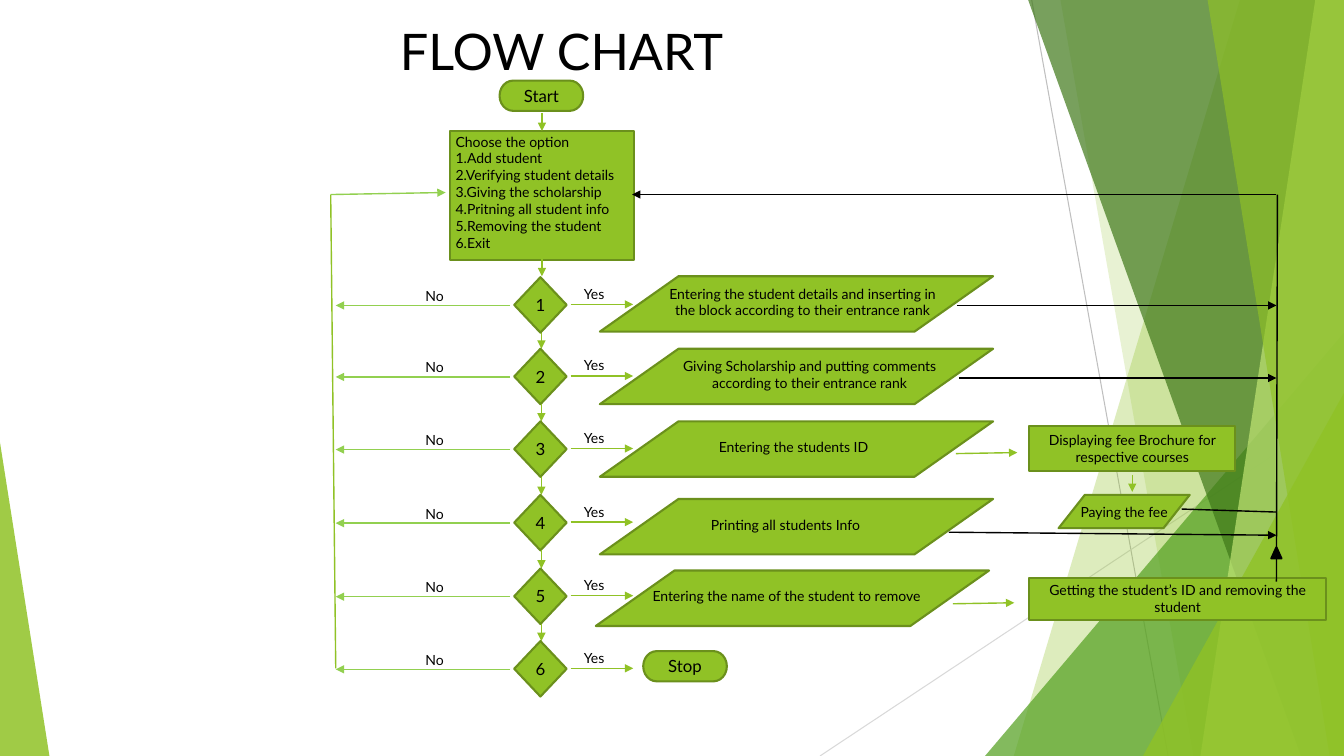
from lxml import etree
from pptx import Presentation
from pptx.dml.color import RGBColor
from pptx.enum.shapes import MSO_CONNECTOR, MSO_SHAPE
from pptx.enum.text import MSO_ANCHOR, PP_ALIGN
from pptx.oxml.ns import qn
from pptx.util import Inches, Pt

LEFT, CENTER = PP_ALIGN.LEFT, PP_ALIGN.CENTER
TOP, MIDDLE = MSO_ANCHOR.TOP, MSO_ANCHOR.MIDDLE
STRAIGHT = MSO_CONNECTOR.STRAIGHT
TRIANGLE = MSO_SHAPE.ISOSCELES_TRIANGLE
TERMINATOR = MSO_SHAPE.FLOWCHART_TERMINATOR
PROCESS = MSO_SHAPE.FLOWCHART_PROCESS
DECISION = MSO_SHAPE.FLOWCHART_DECISION
DATA = MSO_SHAPE.FLOWCHART_DATA

W, H = 13.33, 7.5
GREEN, EDGE, LIME, BLACK = "90C226", "6B901C", "92D050", "000000"

prs = Presentation()
prs.slide_width, prs.slide_height = Inches(W), Inches(H)
slide = prs.slides.add_slide(prs.slide_layouts[6])
shapes = slide.shapes


def rgb(value):
    return RGBColor.from_string(value)


def paint(sp, fill, alpha=100, line=None):
    sp.shadow.inherit = False
    sp.fill.solid()
    sp.fill.fore_color.rgb = rgb(fill)
    if alpha < 100:
        color = sp.fill._xPr.find(qn("a:solidFill"))[0]
        etree.SubElement(color, qn("a:alpha"), val=str(alpha * 1000))
    if line:
        sp.line.color.rgb = rgb(line)
        sp.line.width = Pt(1.5)
    else:
        sp.line.fill.background()


def write(sp, text, size=10, align=CENTER, anchor=MIDDLE, inset=(0, 0), wrap=False):
    tf = sp.text_frame
    tf.word_wrap = wrap
    tf.vertical_anchor = anchor
    tf.margin_left = tf.margin_right = Inches(inset[0])
    tf.margin_top = tf.margin_bottom = Inches(inset[1])
    for i, row in enumerate(text.split("\n")):
        p = tf.add_paragraph() if i else tf.paragraphs[0]
        p.alignment = align
        r = p.add_run()
        r.text = row
        r.font.size = Pt(size)
        r.font.name = "Lato"
        r.font.color.rgb = rgb(BLACK)


def node(kind, x, y, w, h, text="", **fmt):
    sp = shapes.add_shape(kind, Inches(x), Inches(y), Inches(w), Inches(h))
    paint(sp, GREEN, line=EDGE)
    if text:
        write(sp, text, **fmt)


def label(text, x, y, w, h, **fmt):
    sp = shapes.add_textbox(Inches(x), Inches(y), Inches(w), Inches(h))
    write(sp, text, wrap=True, **fmt)


def line(x1, y1, x2, y2, color=GREEN, width=1, head=True):
    c = shapes.add_connector(STRAIGHT, Inches(x1), Inches(y1), Inches(x2), Inches(y2))
    c.line.color.rgb = rgb(color)
    c.line.width = Pt(width)
    if head:
        etree.SubElement(c.line._get_or_add_ln(), qn("a:tailEnd"), type="triangle")
    etree.SubElement(c._element.spPr, qn("a:effectLst"))


def triangle(x, y, w, h, apex, fill, **look):
    sp = shapes.add_shape(TRIANGLE, Inches(x), Inches(y), Inches(w), Inches(h))
    sp.adjustments[0] = apex
    paint(sp, fill, **look)


def facets(x, y, w, h):
    """Translucent panels; positions are shares of the box."""
    for x1, y1, x2, y2, color in ((.13, 0, .51, 1, "BFBFBF"), (1, .54, -.46, 1, "D9D9D9")):
        line(x + x1 * w, y + y1 * h, x + x2 * w, y + y2 * h, color, .75, head=False)

    def panel(top, bottom, fill, alpha):
        corners = [(x + fx * w, y + fy * h) for fx, fy in ((top, 0), (1, 0), (1, 1), (bottom, 1))]
        points = [(Inches(px), Inches(py)) for px, py in corners]
        fb = shapes.build_freeform(*points[0])
        fb.add_line_segments(points[1:], close=True)
        paint(fb.convert_to_shape(), fill, alpha)

    def wedge(left, top, fill, alpha):
        triangle(x + left * w, y + top * h, (1 - left) * w, (1 - top) * h, 1, fill, alpha=alpha)

    panel(.71, .08, GREEN, 30)
    panel(.21, .58, GREEN, 20)
    wedge(0, .44, "54A021", 72)
    panel(.12, .88, "3F7819", 70)
    panel(.92, .6, "C0E474", 70)
    panel(.62, .96, GREEN, 65)
    wedge(.44, .52, GREEN, 80)


def entry(x, y, w):
    """Start and the option menu, centred in width w."""
    mid = x + w / 2
    node(TERMINATOR, mid - .42, y, .83, .3, "Start", size=12)
    node(PROCESS, x, y + .5, w, 1.28,
         "Choose the option\n1.Add student\n2.Verifying student details\n"
         "3.Giving the scholarship\n4.Pritning all student info\n"
         "5.Removing the student\n6.Exit", align=LEFT, anchor=TOP, inset=(.06, .02))
    line(mid, y + .32, mid, y + .5)
    line(mid, y + 1.77, mid, y + 1.94)


def decision(x, y, number, next_y):
    """Diamond with its No branch to the left and Yes branch to the right."""
    mid, yes_y = y + .28, y + .27
    node(DECISION, x, y, .52, .55, number, size=12)
    line(x - .04, mid, x - 1.77, mid, LIME)
    label("No", x - .88, mid - .23, .6, .27, align=LEFT, inset=(0, .05))
    line(x + .56, yes_y, x + 1.18, yes_y)
    label("Yes", x + .69, yes_y - .24, .45, .27, align=LEFT, inset=(0, .05))
    if next_y:
        line(x + .27, y + .55, x + .27, next_y)


def fee_branch(x, y):
    node(PROCESS, x, y, 2.04, .44, "Displaying fee Brochure for respective courses",
         wrap=True, inset=(.1, 0))
    line(x - .73, y + .27, x - .12, y + .26)
    node(DATA, x + .29, y + .68, 1.3, .33, "Paying the fee")
    line(x + 1.02, y + .48, x + 1.02, y + .65)


def remove_branch(x, y):
    node(PROCESS, x, y, 2.94, .42, "Getting the student’s ID and removing the student",
         wrap=True, inset=(.1, 0))
    line(x - .76, y + .26, x - .15, y + .25)


def return_paths(left, right, top):
    """Lines that lead back to the menu on both sides."""
    line(left, top, left + .05, 6.63, head=False)
    line(left, top, left + 1.14, top - .02, LIME)
    line(right + .01, top, right, 5.77, BLACK, head=False)
    line(right, top, 6.27, top, BLACK)
    line(11.72, 5.05, right, 5.08, BLACK, head=False)
    for x, y, end_y in ((9.49, 3.03, 3.03), (9.51, 3.75, 3.75), (9.41, 5.28, 5.31)):
        line(x, y, right, end_y, BLACK)
    triangle(right - .05, 5.43, .1, .11, .5, BLACK, line=BLACK)


# Background
facets(9.77, 0, 3.56, H)
triangle(0, 4.39, .49, 3.11, 0, GREEN, alpha=85)

# Title and entry
label("FLOW CHART", .87, .14, 9.4, .72, size=36)
entry(4.46, .8, 1.83)

# Actions: left, top, text centre, text
actions = [
    (5.95, 2.74, 7.96, "Entering the student details and inserting in the block "
                       "according to their entrance rank"),
    (5.95, 3.46, 8.03, "Giving Scholarship and putting comments according to their entrance rank"),
    (5.95, 4.18, 7.87, "Entering the students ID"),
    (5.95, 4.95, 7.79, "Printing all students Info"),
    (5.91, 5.66, 7.8, "Entering the name of the student to remove"),
]
for x, y, mid, text in actions:
    node(DATA, x, y, 3.9, .55)
    label(text, mid - 1.43, y - .02, 2.86, .55)

# Decisions
tops = [2.75, 3.46, 4.18, 4.91, 5.64, 6.36]
for i, (y, next_y) in enumerate(zip(tops, tops[1:] + [None]), 1):
    decision(5.1, y, str(i), next_y)
node(TERMINATOR, 6.38, 6.46, .83, .3, "Stop", size=12)

# Side branches and return paths
fee_branch(10.21, 4.23)
remove_branch(10.21, 5.73)
return_paths(3.28, 12.66, 1.93)

prs.save("out.pptx")
